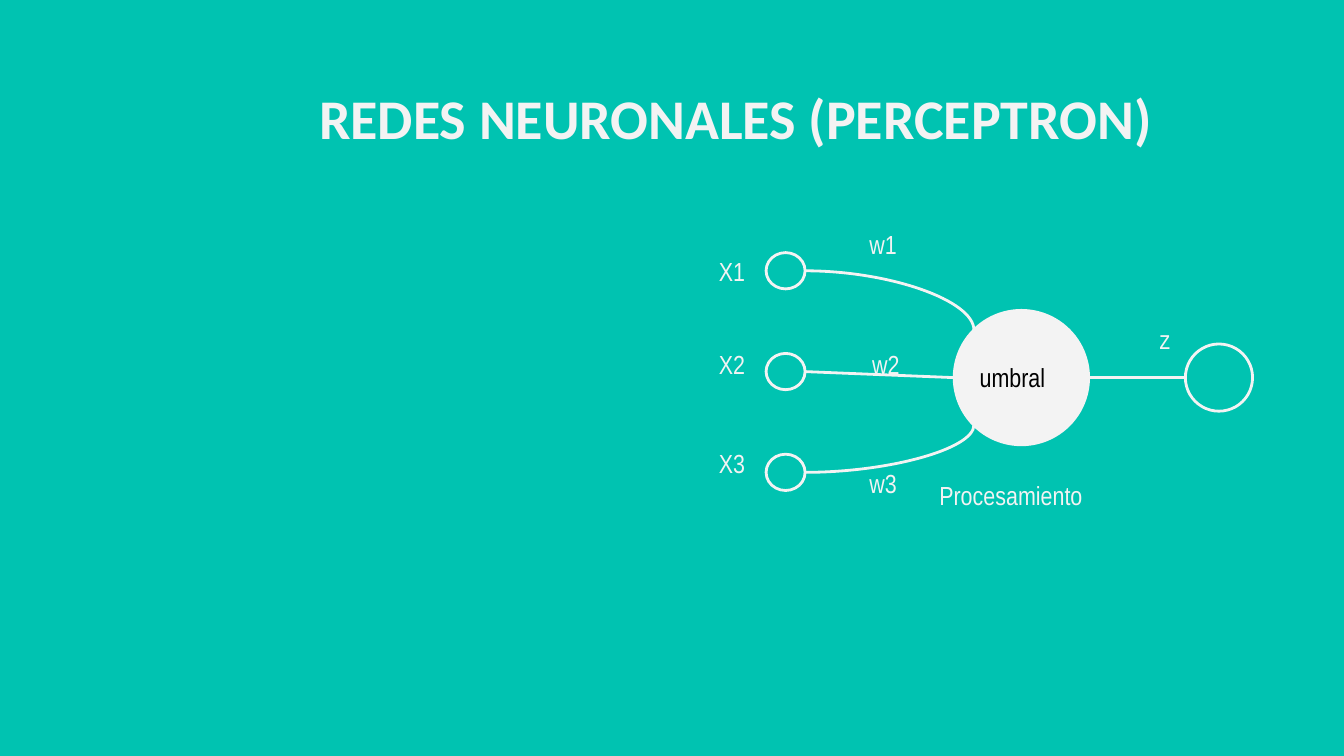
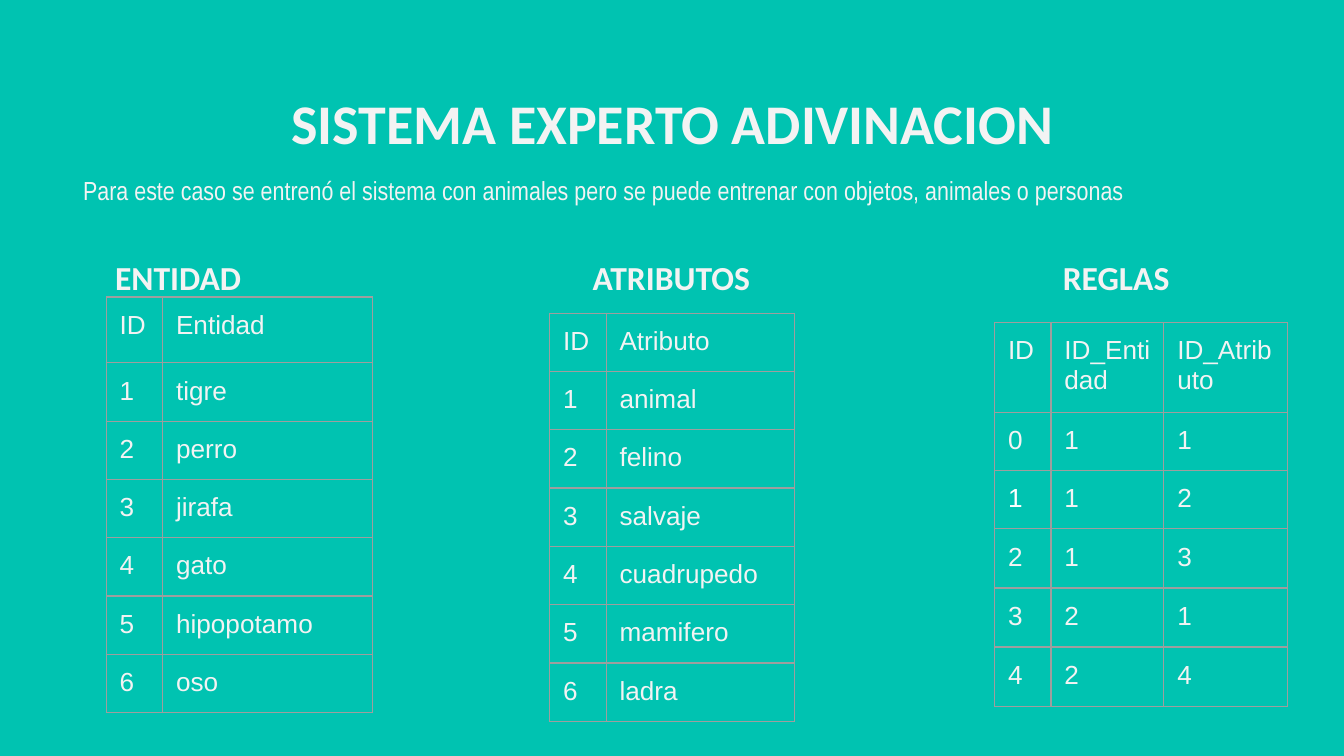
"""Builds two slides: a perceptron diagram and the tables of a guessing expert system."""
import math
from dataclasses import dataclass

from lxml import etree
from pptx import Presentation
from pptx import util as u
from pptx.dml.color import RGBColor
from pptx.enum import shapes, text
from pptx.oxml.ns import qn

PX = 9144
SLIDE_WIDTH = 1000
SLIDE_SIZE = (SLIDE_WIDTH, SLIDE_WIDTH * 9 / 16)
INSET = 10


@dataclass(frozen=True)
class Theme:
    background: str = "00C3B1"
    light: str = "F3F3F3"
    white: str = "FFFFFF"
    dark: str = "000000"
    border: str = "9E9E9E"
    heading_font: str = "Calibri"
    label_font: str = "Arial Narrow"
    table_font: str = "Arial"
    title_size: int = 30
    heading_size: int = 18
    body_size: int = 14
    line_width: float = 1.5
    border_width: float = 0.75


THEME = Theme()

PERCEPTRON_TITLE = ("REDES NEURONALES (PERCEPTRON)", (126, 52, 843, 63))
NUCLEUS = (710, 231, 100, 100)
OUTPUT = (882, 256, 50, 50)
INPUT_LEFT, INPUT_TOP, INPUT_PITCH, INPUT_SIZE = 570, 188, 75, (29, 27)
NUCLEUS_SITES = (1, 2, 3)
LEFT_SITE, RIGHT_SITE = 2, 6
LABELS = [
    ("X1", 525, 180, 49, THEME.light),
    ("X2", 525, 249, 49, THEME.light),
    ("X3", 525, 323, 45, THEME.light),
    ("z", 853, 231, 29, THEME.light),
    ("Procesamiento", 689, 347, 142, THEME.light),
    ("umbral", 719, 259, 82, THEME.dark),
    ("w1", 637, 160, 49, THEME.light),
    ("w2", 639, 249, 49, THEME.light),
    ("w3", 637, 338, 49, THEME.light),
]
LABEL_HEIGHT = 44

EXPERT_TITLE = ("SISTEMA EXPERTO ADIVINACION", (79, 56, 843, 63))
INTRO = ("Para este caso se entrenó el sistema con animales pero se puede "
         "entrenar con objetos, animales o personas", 52, 120, 870, THEME.light)
HEADING_TOP, HEADING_SIZE = 172, (181, 41)
TABLES = [
    {
        "heading": "ENTIDAD", "heading_left": 42, "at": (79, 221),
        "columns": (42, 156), "rows": (49,) + (43,) * 6, "white_cells": (),
        "cells": [("ID", "Entidad"), ("1", "tigre"), ("2", "perro"), ("3", "jirafa"),
                  ("4", "gato"), ("5", "hipopotamo"), ("6", "oso")],
    },
    {
        "heading": "ATRIBUTOS", "heading_left": 409, "at": (409, 233),
        "columns": (42, 140), "rows": (43,) + (42,) * 6, "white_cells": (),
        "cells": [("ID", "Atributo"), ("1", "animal"), ("2", "felino"), ("3", "salvaje"),
                  ("4", "cuadrupedo"), ("5", "mamifero"), ("6", "ladra")],
    },
    {
        "heading": "REGLAS", "heading_left": 740, "at": (740, 240),
        "columns": (42, 84, 92), "rows": (54, 37, 39, 44, 44, 44), "white_cells": ((2, 0),),
        "cells": [("ID", "ID_Entidad", "ID_Atributo"), ("0", "1", "1"), ("1", "1", "2"),
                  ("2", "1", "3"), ("3", "2", "1"), ("4", "2", "4")],
    },
]


def px(*lengths):
    return [u.Emu(round(length * PX)) for length in lengths]


def add_run(paragraph, words, font, size, color, bold=False):
    run = paragraph.add_run()
    run.text = words
    run.font.name = font
    run.font.size = u.Pt(size)
    run.font.bold = bold
    run.font.color.rgb = RGBColor.from_string(color)


def set_insets(target, top=INSET, bottom=INSET):
    target.margin_left, target.margin_right = px(INSET, INSET)
    target.margin_top, target.margin_bottom = px(top, bottom)


def fill_placeholder(shape, words, box, size, anchor, top=INSET, bottom=INSET):
    shape.left, shape.top, shape.width, shape.height = px(*box)
    frame = shape.text_frame
    frame.auto_size = text.MSO_AUTO_SIZE.NONE
    frame.word_wrap = True
    frame.vertical_anchor = anchor
    set_insets(frame, top, bottom)
    paragraph = frame.paragraphs[0]
    paragraph.alignment = text.PP_ALIGN.CENTER
    paragraph.space_before = u.Pt(0)
    add_run(paragraph, words, THEME.heading_font, size, THEME.light, True)
    return paragraph


def add_title(slide, words, box):
    fill_placeholder(slide.shapes.title, words, box, THEME.title_size, text.MSO_ANCHOR.TOP)


def add_heading(placeholder, words, left):
    paragraph = fill_placeholder(placeholder, words, (left, HEADING_TOP, *HEADING_SIZE),
                                 THEME.heading_size, text.MSO_ANCHOR.MIDDLE, 28, 0)
    paragraph.space_after = u.Pt(16)
    properties = paragraph._p.get_or_add_pPr()
    properties.set("marL", "0")
    properties.set("indent", "0")
    etree.SubElement(properties, qn("a:buNone"))


def add_label(slide, words, left, top, width, color):
    shape = slide.shapes.add_textbox(*px(left, top, width, LABEL_HEIGHT))
    frame = shape.text_frame
    frame.word_wrap = True
    frame.auto_size = text.MSO_AUTO_SIZE.SHAPE_TO_FIT_TEXT
    set_insets(frame)
    add_run(frame.paragraphs[0], words, THEME.label_font, THEME.body_size, color)


def set_line(line):
    line.color.rgb = RGBColor.from_string(THEME.light)
    line.width = u.Pt(THEME.line_width)


def add_neuron(slide, box, filled=False):
    shape = slide.shapes.add_shape(shapes.MSO_SHAPE.OVAL, *px(*box))
    shape.shadow.inherit = False
    if filled:
        shape.fill.solid()
        shape.fill.fore_color.rgb = RGBColor.from_string(THEME.light)
    else:
        shape.fill.background()
    set_line(shape.line)
    return shape


def site_point(shape, site):
    angle = math.radians(-90 - 45 * site)
    return (u.Emu(round(shape.left + shape.width / 2 * (1 + math.cos(angle)))),
            u.Emu(round(shape.top + shape.height / 2 * (1 + math.sin(angle)))))


def link_neurons(slide, start, start_site, end, end_site, kind, preset):
    connector = slide.shapes.add_connector(
        kind, *site_point(start, start_site), *site_point(end, end_site))
    set_line(connector.line)
    element = connector._element
    element.find(".//" + qn("a:prstGeom")).set("prst", preset)
    etree.SubElement(element.spPr, qn("a:effectLst"))
    joints = element.find(".//" + qn("p:cNvCxnSpPr"))
    for tag, shape, site in (("a:stCxn", start, start_site), ("a:endCxn", end, end_site)):
        etree.SubElement(joints, qn(tag), id=str(shape.shape_id), idx=str(site))


def set_borders(cell):
    properties = cell._tc.get_or_add_tcPr()
    for side in ("a:lnL", "a:lnR", "a:lnT", "a:lnB"):
        line = etree.SubElement(properties, qn(side), w=str(u.Pt(THEME.border_width)))
        fill = etree.SubElement(line, qn("a:solidFill"))
        etree.SubElement(fill, qn("a:srgbClr"), val=THEME.border)


def add_data_table(slide, data):
    columns, rows = data["columns"], data["rows"]
    size = (sum(columns), sum(rows))
    table = slide.shapes.add_table(len(rows), len(columns), *px(*data["at"], *size)).table
    table.first_row = table.horz_banding = False
    for column, width in zip(table.columns, px(*columns)):
        column.width = width
    for row, height in zip(table.rows, px(*rows)):
        row.height = height
    for r, values in enumerate(data["cells"]):
        for c, value in enumerate(values):
            cell = table.cell(r, c)
            set_insets(cell)
            set_borders(cell)
            cell.fill.background()
            color = THEME.white if (r, c) in data["white_cells"] else THEME.light
            add_run(cell.text_frame.paragraphs[0], value,
                    THEME.table_font, THEME.body_size, color)


def build_perceptron(presentation):
    slide = presentation.slides.add_slide(presentation.slide_layouts.get_by_name("Title Only"))
    add_title(slide, *PERCEPTRON_TITLE)
    nucleus = add_neuron(slide, NUCLEUS, filled=True)
    output = add_neuron(slide, OUTPUT)
    straight, curve = shapes.MSO_CONNECTOR.STRAIGHT, shapes.MSO_CONNECTOR.CURVE
    for row, site in enumerate(NUCLEUS_SITES):
        neuron = add_neuron(slide, (INPUT_LEFT, INPUT_TOP + row * INPUT_PITCH, *INPUT_SIZE))
        link = (straight, "line") if site == LEFT_SITE else (curve, "curvedConnector2")
        link_neurons(slide, neuron, RIGHT_SITE, nucleus, site, *link)
    link_neurons(slide, output, LEFT_SITE, nucleus, RIGHT_SITE, curve, "curvedConnector3")
    for label in LABELS:
        add_label(slide, *label)


def build_expert_system(presentation):
    slide = presentation.slides.add_slide(presentation.slide_layouts.get_by_name("Comparison"))
    add_title(slide, *EXPERT_TITLE)
    add_label(slide, *INTRO)
    *headings, spare = list(slide.placeholders)[1:]
    spare._element.getparent().remove(spare._element)
    for placeholder, data in zip(headings, TABLES):
        add_heading(placeholder, data["heading"], data["heading_left"])
        add_data_table(slide, data)


def main():
    presentation = Presentation()
    presentation.slide_width, presentation.slide_height = px(*SLIDE_SIZE)
    fill = presentation.slide_master.background.fill
    fill.solid()
    fill.fore_color.rgb = RGBColor.from_string(THEME.background)
    build_perceptron(presentation)
    build_expert_system(presentation)
    presentation.save("out.pptx")


if __name__ == "__main__":
    main()
